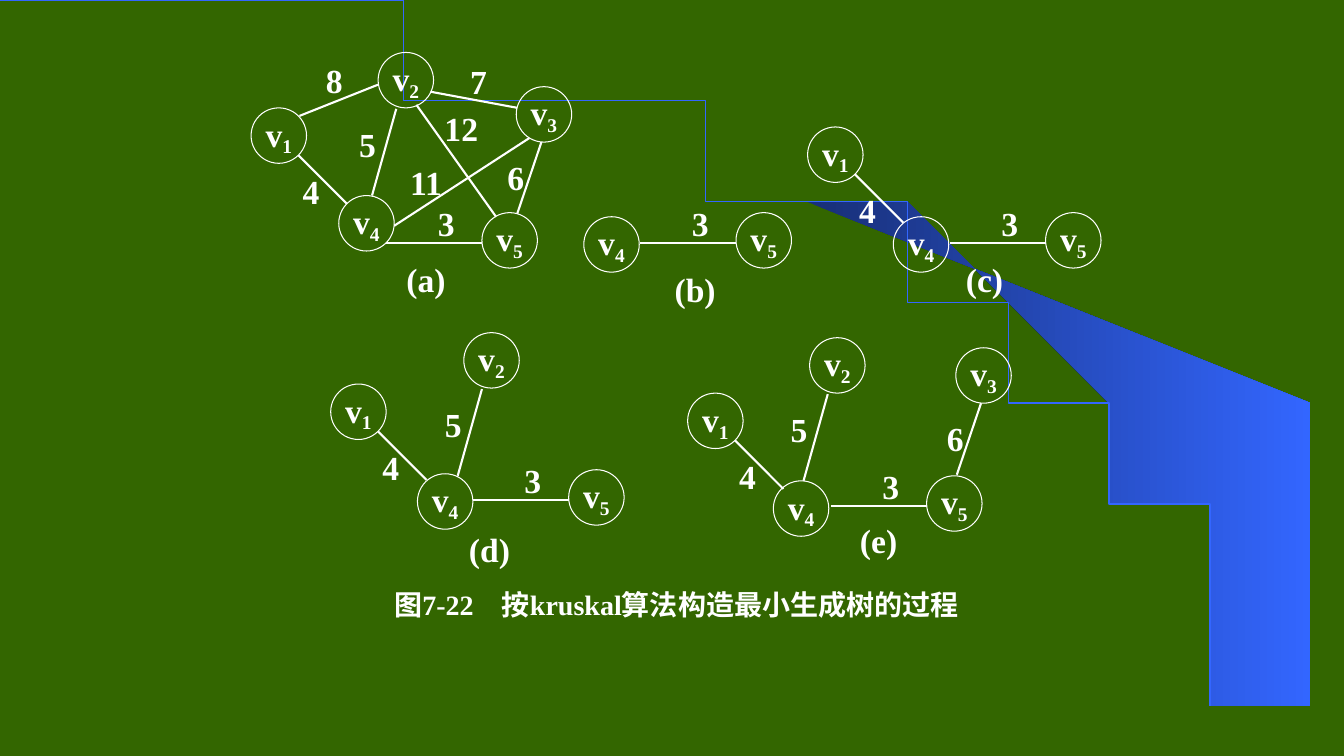
from lxml.etree import SubElement
from pptx import Presentation
from pptx.dml.color import RGBColor
from pptx.enum.shapes import MSO_CONNECTOR as Connector, MSO_SHAPE as Shape
from pptx.enum.text import MSO_ANCHOR as Anchor, MSO_AUTO_SIZE as AutoSize, PP_ALIGN as Align
from pptx.oxml.ns import qn
from pptx.util import Inches, Pt

COLORS = {"board": "336600", "chalk": "FFFFFF", "band_dark": "182F76", "band": "3366FF"}
NODE_SIZE = 0.55
LABEL_SIZE = 0.39
CAPTION_WIDTH = 0.47
FRAME = {"word_wrap": False, "auto_size": AutoSize.NONE, "vertical_anchor": Anchor.MIDDLE,
         "margin_left": 0, "margin_right": 0, "margin_top": 0, "margin_bottom": 0}

# weight: owning node, then line start, line end and label relative to that node
EDGES = {
    4: ("1", (0.47, 0.47), (0.95, 0.95), (0.4, 0.63)),
    8: ("1", (0.48, 0.08), (1.26, -0.23), (0.63, -0.47)),
    5: ("2", (0.18, 0.56), (-0.06, 1.42), (-0.3, 0.71)),
    7: ("2", (0.52, 0.39), (1.38, 0.55), (0.8, 0.09)),
    12: ("2", (0.38, 0.52), (1.17, 1.63), (0.63, 0.55)),
    11: ("4", (0.55, 0.3), (1.89, -0.57), (0.67, -0.33)),
    3: ("5", (-0.95, 0.3), (0, 0.3), (-0.55, -0.09)),
    6: ("3", (0.25, 0.55), (0.01, 1.26), (-0.2, 0.7)),
}

STEPS = [
    ("(a)", (2.49, 0.52), (1.5, 2.05), (4, 8, 5, 7, 12, 11, 3, 6),
     {"1": (0, 0.55), "2": (1.26, 0), "3": (2.63, 0.34), "4": (0.87, 1.42), "5": (2.29, 1.59)}),
    ("(b)", (5.79, 2.11), (0.87, 0.56), (3,),
     {"4": (0, 0.04), "5": (1.51, 0)}),
    ("(c)", (8.01, 1.26), (1.52, 1.31), (3, 4),
     {"1": (0, 0), "4": (0.85, 0.89), "5": (2.36, 0.85)}),
    ("(d)", (3.28, 3.3), (1.34, 1.95), (3, 4, 5),
     {"1": (0, 0.51), "2": (1.32, 0), "4": (0.86, 1.4), "5": (2.36, 1.36)}),
    ("(e)", (6.82, 3.35), (1.66, 1.81), (3, 4, 5, 6),
     {"1": (0, 0.55), "2": (1.21, 0), "3": (2.66, 0.1), "4": (0.85, 1.42), "5": (2.37, 1.37)}),
]

BAND = [(12.27, 7.48), (13.31, 7.49), (13.31, 4.23), (7.86, 1.73), (8.32, 1.99), (8.7, 2.22),
        (9.13, 2.5), (9.55, 2.8), (10.16, 3.3), (10.7, 3.84), (11.1, 4.31), (11.44, 4.79),
        (11.71, 5.28), (11.91, 5.72), (12.04, 6.09), (12.17, 6.56), (12.23, 6.96)]


def rgb(name):
    return RGBColor.from_string(COLORS[name])


def shift(origin, offset):
    return origin[0] + offset[0], origin[1] + offset[1]


def write(shape, text, size=24, subscript=""):
    frame = shape.text_frame
    for name, value in FRAME.items():
        setattr(frame, name, value)
    paragraph = frame.paragraphs[0]
    paragraph.alignment = Align.CENTER
    for part in filter(None, (text, subscript)):
        run = paragraph.add_run()
        run.text = part
        for name, value in {"name": "Times New Roman", "size": Pt(size), "bold": True}.items():
            setattr(run.font, name, value)
        run.font.color.rgb = rgb("chalk")
        if part == subscript:
            run.font._element.set("baseline", "-20000")


def add_label(slide, text, at, width=LABEL_SIZE, size=24):
    box = (Inches(v) for v in (*at, width, LABEL_SIZE))
    write(slide.shapes.add_textbox(*box), text, size)


def add_node(slide, number, at):
    node = slide.shapes.add_shape(Shape.OVAL, *(Inches(v) for v in (*at, NODE_SIZE, NODE_SIZE)))
    node.shadow.inherit = False
    node.fill.background()
    node.line.color.rgb = rgb("chalk")
    node.line.width = Pt(0.75)
    write(node, "v", subscript=number)


def add_edge(slide, weight, node_at):
    _, start, end, label = EDGES[weight]
    ends = (*shift(node_at, start), *shift(node_at, end))
    edge = slide.shapes.add_connector(Connector.STRAIGHT, *(Inches(v) for v in ends))
    edge.line.color.rgb = rgb("chalk")
    edge.line.width = Pt(1.5)
    SubElement(edge._element.spPr, qn("a:effectLst"))
    add_label(slide, str(weight), shift(node_at, label))


def add_step(slide, caption, origin, caption_at, weights, nodes):
    for number, offset in nodes.items():
        add_node(slide, number, shift(origin, offset))
    for weight in weights:
        add_edge(slide, weight, shift(origin, nodes[EDGES[weight][0]]))
    add_label(slide, caption, shift(origin, caption_at), CAPTION_WIDTH)


def add_outline(slide, points, close):
    builder = slide.shapes.build_freeform(*points[0], scale=Inches(1))
    builder.add_line_segments(points[1:], close=close)
    outline = builder.convert_to_shape()
    outline.shadow.inherit = False
    return outline


def add_backdrop(slide, width, height, bend_x, bend_y, steps=60):
    slide.background.fill.solid()
    slide.background.fill.fore_color.rgb = rgb("board")

    band = add_outline(slide, BAND, True)
    band.line.fill.background()
    band.fill.gradient()
    band.fill.gradient_angle = 0
    for stop, name in zip(band.fill.gradient_stops, ("band_dark", "band")):
        stop.color.rgb = rgb(name)

    curve = []
    for t in (i / steps for i in range(steps + 1)):
        first, second, third = 3 * t * (1 - t) ** 2, 3 * t ** 2 * (1 - t), t ** 3
        curve.append((first * bend_x + (second + third) * width,
                      second * bend_y + third * height))
    arc = add_outline(slide, curve, False)
    arc.fill.background()
    arc.line.color.rgb = rgb("band")
    arc.line.width = Pt(1)


def main():
    deck = Presentation()
    deck.slide_width, deck.slide_height = Inches(13.33), Inches(7.5)
    slide = deck.slides.add_slide(deck.slide_layouts[6])
    add_backdrop(slide, 12.26, 7.49, 6.77, 3.35)
    for step in STEPS:
        add_step(slide, *step)
    add_label(slide, "图7-22　按kruskal算法构造最小生成树的过程", (3.76, 5.8), 5.9, 20)
    deck.save("out.pptx")


if __name__ == "__main__":
    main()
